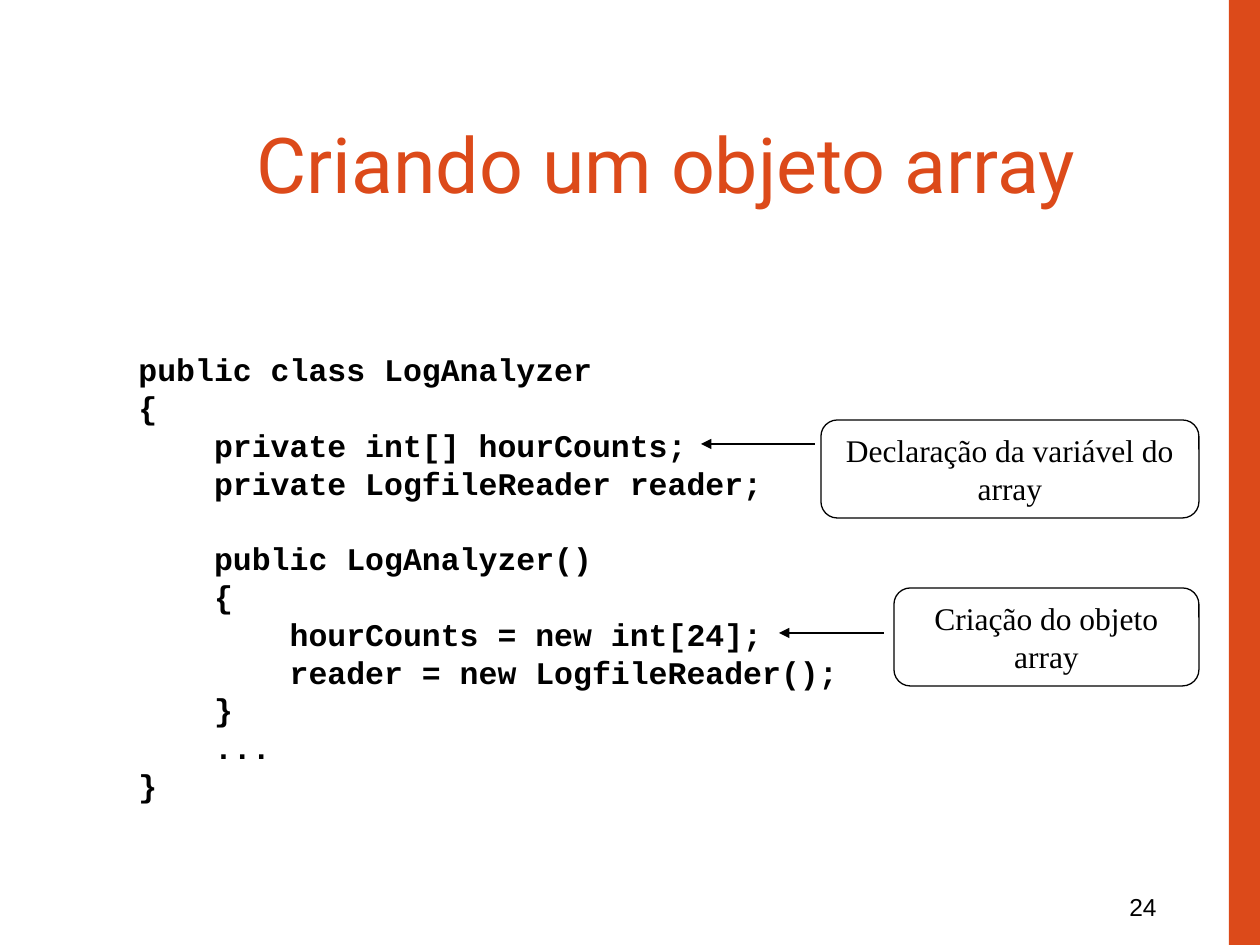
from dataclasses import dataclass

from lxml.etree import SubElement
from pptx import Presentation
from pptx.dml.color import RGBColor
from pptx.enum.shapes import MSO_CONNECTOR, MSO_SHAPE
from pptx.enum.text import MSO_ANCHOR, MSO_AUTO_SIZE, PP_ALIGN
from pptx.oxml.ns import qn
from pptx.util import Pt

EMU_PER_PX = 914400 / 126
TITLE_ONLY = 5


@dataclass(frozen=True)
class Theme:
    accent: RGBColor = RGBColor(0xDC, 0x4A, 0x1A)
    ink: RGBColor = RGBColor(0, 0, 0)
    title_font: str = "Roboto"
    code_font: str = "Courier New"
    note_font: str = "Times New Roman"
    number_font: str = "Arial"
    title_size: int = 44
    text_size: int = 18
    number_size: int = 14
    line_height: float = 21.6
    line_width: float = 0.75


def px(length):
    return round(length * EMU_PER_PX)


class SlideBuilder:
    def __init__(self, slide, theme):
        self.slide = slide
        self.theme = theme

    def style(self, paragraph, font, size, color, bold=False, align=PP_ALIGN.LEFT):
        paragraph.alignment = align
        paragraph.font.name = font
        paragraph.font.size = Pt(size)
        paragraph.font.bold = bold
        paragraph.font.color.rgb = color

    def title(self, text, left, top, width, height):
        shape = self.slide.shapes.title
        shape.left, shape.top = px(left), px(top)
        shape.width, shape.height = px(width), px(height)
        frame = shape.text_frame
        frame.text = text
        frame.auto_size = MSO_AUTO_SIZE.NONE
        frame.vertical_anchor = MSO_ANCHOR.MIDDLE
        self.style(frame.paragraphs[0], self.theme.title_font, self.theme.title_size,
                   self.theme.accent, align=PP_ALIGN.CENTER)

    def side_bar(self, left, top, width, height):
        shape = self.slide.shapes.add_shape(
            MSO_SHAPE.RECTANGLE, px(left), px(top), px(width), px(height))
        shape.shadow.inherit = False
        shape.fill.solid()
        shape.fill.fore_color.rgb = self.theme.accent
        shape.line.fill.background()

    def page_number(self, text, left, top, width, height):
        shape = self.slide.shapes.add_textbox(px(left), px(top), px(width), px(height))
        frame = shape.text_frame
        frame.word_wrap = True
        frame.text = text
        self.style(frame.paragraphs[0], self.theme.number_font, self.theme.number_size,
                   self.theme.ink, align=PP_ALIGN.RIGHT)

    def code(self, blocks, left, top, width, height):
        """Each block is a group of lines; one empty line's height parts the blocks."""
        shape = self.slide.shapes.add_textbox(px(left), px(top), px(width), px(height))
        frame = shape.text_frame
        frame.word_wrap = False
        frame.text = "\n".join(blocks)
        for paragraph in frame.paragraphs:
            paragraph.line_spacing = Pt(self.theme.line_height)
            self.style(paragraph, self.theme.code_font, self.theme.text_size,
                       self.theme.ink, bold=True)
        first_line = 0
        for block in blocks[:-1]:
            first_line += len(block.splitlines())
            frame.paragraphs[first_line].space_before = Pt(self.theme.line_height)

    def callout(self, text, left, top, width, height):
        shape = self.slide.shapes.add_shape(
            MSO_SHAPE.ROUNDED_RECTANGLE, px(left), px(top), px(width), px(height))
        shape.shadow.inherit = False
        shape.fill.background()
        shape.line.color.rgb = self.theme.ink
        shape.line.width = Pt(self.theme.line_width)
        frame = shape.text_frame
        frame.word_wrap = True
        frame.vertical_anchor = MSO_ANCHOR.MIDDLE
        frame.text = text
        paragraph = frame.paragraphs[0]
        paragraph.line_spacing = Pt(self.theme.line_height)
        self.style(paragraph, self.theme.note_font, self.theme.text_size,
                   self.theme.ink, align=PP_ALIGN.CENTER)

    def arrow(self, start_x, end_x, y):
        connector = self.slide.shapes.add_connector(
            MSO_CONNECTOR.STRAIGHT, px(start_x), px(y), px(end_x), px(y))
        connector.line.color.rgb = self.theme.ink
        connector.line.width = Pt(self.theme.line_width)
        SubElement(connector.line._get_or_add_ln(), qn("a:tailEnd"), type="triangle")
        SubElement(connector._element.spPr, qn("a:effectLst"))


FIELDS_CODE = """public class LogAnalyzer
{
    private int[] hourCounts;
    private LogfileReader reader;"""

CONSTRUCTOR_CODE = """    public LogAnalyzer()
    {
        hourCounts = new int[24];
        reader = new LogfileReader();
    }
    ...
}"""


def main():
    presentation = Presentation()
    presentation.slide_width, presentation.slide_height = px(1260), px(945)
    slide = presentation.slides.add_slide(presentation.slide_layouts[TITLE_ONLY])
    builder = SlideBuilder(slide, Theme())

    # Page frame
    builder.page_number("24", 1096, 886, 73, 42)
    builder.side_bar(1229, 0, 31, 945)

    # Title and code listing
    builder.title("Criando um objeto array", 136, 84, 1061, 158)
    builder.code([FIELDS_CODE, CONSTRUCTOR_CODE], 126, 344, 725, 466)

    # Callouts and the arrows to their code lines
    builder.callout("Criação do objeto array", 894, 588, 305, 98)
    builder.callout("Declaração da variável do array", 821, 420, 378, 98)
    builder.arrow(884, 779, 633)
    builder.arrow(815, 701, 444)

    presentation.save("out.pptx")


if __name__ == "__main__":
    main()
